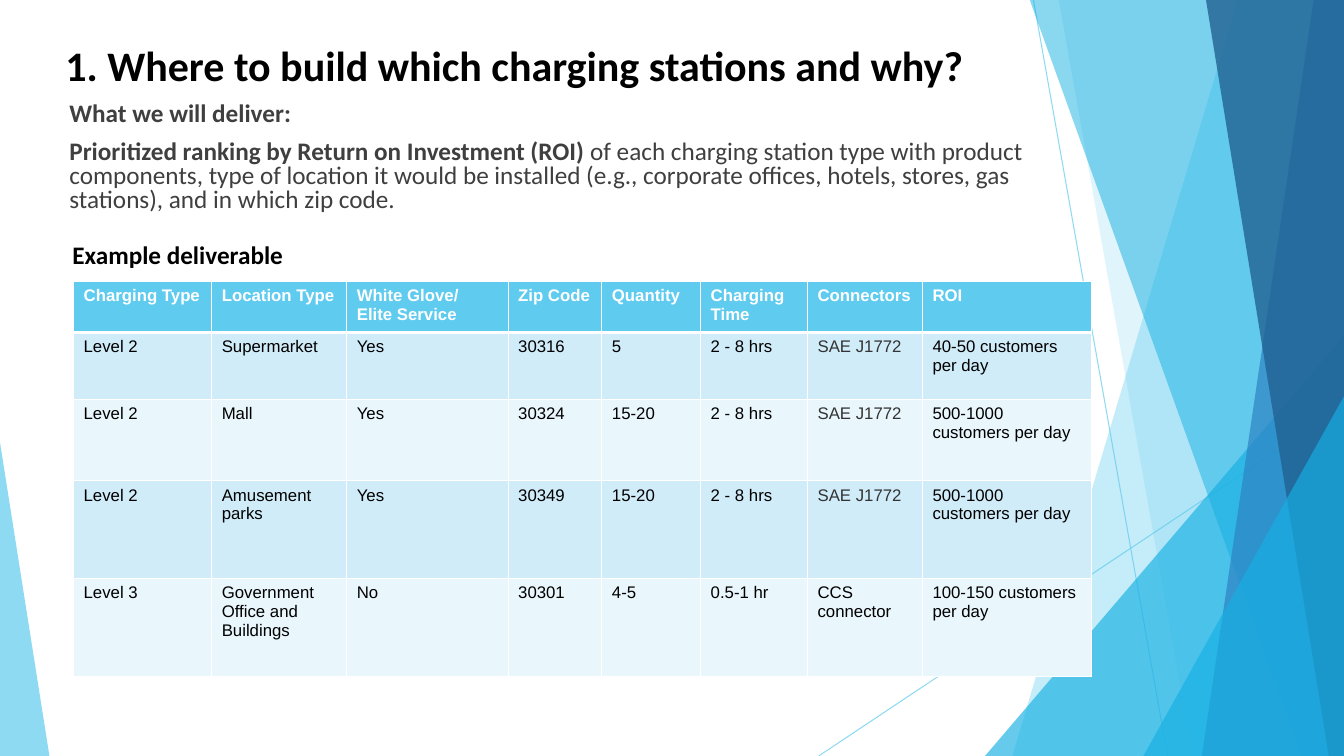
"""Build the charging station slide: faceted backdrop, heading, summary and table."""
from lxml.etree import SubElement
from pptx import Presentation
from pptx.dml.color import RGBColor
from pptx.enum.shapes import MSO_CONNECTOR as Connector, MSO_SHAPE as Shape
from pptx.oxml.ns import qn
from pptx.util import Pt

PX = 9144
WIDTH, HEIGHT = 1333, 750
SKY = RGBColor(0x5F, 0xCB, 0xEF)
CYAN = RGBColor(0x16, 0xB0, 0xE3)
BLUE = RGBColor(0x2E, 0x83, 0xC3)
NAVY = RGBColor(0x22, 0x62, 0x92)
BLACK = RGBColor(0x00, 0x00, 0x00)
WHITE = RGBColor(0xFF, 0xFF, 0xFF)
CHARCOAL = RGBColor(0x3F, 0x3F, 0x3F)
GRAPHITE = RGBColor(0x33, 0x33, 0x33)
DARK_BAND = RGBColor(0xD1, 0xEC, 0xF9)
LIGHT_BAND = RGBColor(0xE9, 0xF6, 0xFC)


def set_opacity(shape, percent):
    for colour in shape.element.spPr.iter(qn("a:srgbClr")):
        SubElement(colour, qn("a:alpha"), val=str(percent * 1000))


def add_text(left, top, width, height, paragraphs, size, colour):
    box = slide.shapes.add_textbox(left * PX, top * PX, width * PX, height * PX)
    frame = box.text_frame
    frame.word_wrap = True
    for index, pieces in enumerate(paragraphs):
        para = frame.add_paragraph() if index else frame.paragraphs[0]
        for text, bold in pieces:
            span = para.add_run()
            span.text = text
            span.font.name, span.font.size, span.font.bold = "Calibri", Pt(size), bold
            span.font.color.rgb = colour
    return frame


deck = Presentation()
deck.slide_width, deck.slide_height = WIDTH * PX, HEIGHT * PX
slide = deck.slides.add_slide(deck.slide_layouts[6])

for ends in [(1025, 0, 1158, HEIGHT), (WIDTH, 403, 812, HEIGHT)]:
    line = slide.shapes.add_connector(Connector.STRAIGHT, *(end * PX for end in ends))
    line.line.color.rgb = SKY
    line.line.width = Pt(0.75)
    set_opacity(line, 70)
    SubElement(line.element.spPr, qn("a:effectLst"))

facets = [
    ("band", (1228, 1004), SKY, 36),
    ("band", (1050, 1183), SKY, 20),
    ("triangle", (977, 333, 356, 1), CYAN, 66),
    ("band", (1021, 1291), CYAN, 50),
    ("band", (1303, 1192), BLUE, 70),
    ("band", (1196, 1318), NAVY, 80),
    ("triangle", (1134, 393, 199, 1), CYAN, 66),
    ("triangle", (0, 439, 49, 0), SKY, 70),
]
for kind, geometry, colour, opacity in facets:
    if kind == "band":
        top_x, bottom_x = geometry
        builder = slide.shapes.build_freeform(top_x, -1, scale=PX)
        builder.add_line_segments([(WIDTH, -1), (WIDTH, HEIGHT), (bottom_x, HEIGHT)])
        facet = builder.convert_to_shape()
    else:
        left, top, width, apex = geometry
        facet = slide.shapes.add_shape(
            Shape.ISOSCELES_TRIANGLE, left * PX, top * PX, width * PX, (HEIGHT - top) * PX)
        facet.adjustments[0] = apex
    facet.shadow.inherit = False
    facet.fill.solid()
    facet.fill.fore_color.rgb = colour
    facet.line.fill.background()
    set_opacity(facet, opacity)

add_text(55, 34, 1074, 144,
         [[("1. Where to build which charging stations and why?", True)]], 30, BLACK)
summary = add_text(59, 97, 1044, 131, [
    [("What we will deliver:", True)],
    [("Prioritized ranking by Return on Investment (ROI)", True),
     (" of each charging station type with product components, type of location it would be "
      "installed (e.g., corporate offices, hotels, stores, gas stations), and in which zip code.",
      False)],
], 18, CHARCOAL)
for para in summary.paragraphs:
    para.line_spacing = 0.8
summary.paragraphs[1].space_before = Pt(10)

rows = [
    ["Charging Type", "Location Type", "White Glove/ Elite Service", "Zip Code", "Quantity",
     "Charging Time", "Connectors", "ROI"],
    ["Level 2", "Supermarket", "Yes", "30316", "5", "2 - 8 hrs", "SAE J1772",
     "40-50 customers per day"],
    ["Level 2", "Mall", "Yes", "30324", "15-20", "2 - 8 hrs", "SAE J1772",
     "500-1000 customers per day"],
    ["Level 2", "Amusement parks", "Yes", "30349", "15-20", "2 - 8 hrs", "SAE J1772",
     "500-1000 customers per day"],
    ["Level 3", "Government Office and Buildings", "No", "30301", "4-5", "0.5-1 hr",
     "CCS connector", "100-150 customers per day"],
]
column_widths = [137, 134, 160, 93, 98, 106, 114, 168]
row_heights = [51, 66, 81, 97, 97]
table = slide.shapes.add_table(
    len(rows), len(column_widths), 73 * PX, 279 * PX,
    sum(column_widths) * PX, sum(row_heights) * PX).table
table.horz_banding = False
for column, width in zip(table.columns, column_widths):
    column.width = width * PX
for row, height in zip(table.rows, row_heights):
    row.height = height * PX

for row_index, texts in enumerate(rows):
    header = row_index == 0
    band = SKY if header else DARK_BAND if row_index % 2 else LIGHT_BAND
    for column_index, text in enumerate(texts):
        cell = table.cell(row_index, column_index)
        properties = cell._tc.get_or_add_tcPr()
        for side in ("lnL", "lnR", "lnT", "lnB"):
            heavy = (row_index, side) in [(0, "lnB"), (1, "lnT")]
            border = SubElement(properties, qn(f"a:{side}"), w=str(Pt(3 if heavy else 1)))
            SubElement(SubElement(border, qn("a:solidFill")), qn("a:srgbClr"), val=str(WHITE))
        cell.fill.solid()
        cell.fill.fore_color.rgb = band
        cell.text_frame.text = text
        font = cell.text_frame.paragraphs[0].runs[0].font
        font.name, font.size, font.bold = "Arial", Pt(12), header
        font.color.rgb = WHITE if header else GRAPHITE if text == "SAE J1772" else BLACK

add_text(62, 233, 260, 40, [[("Example deliverable", True)]], 18, BLACK)

deck.save("out.pptx")
